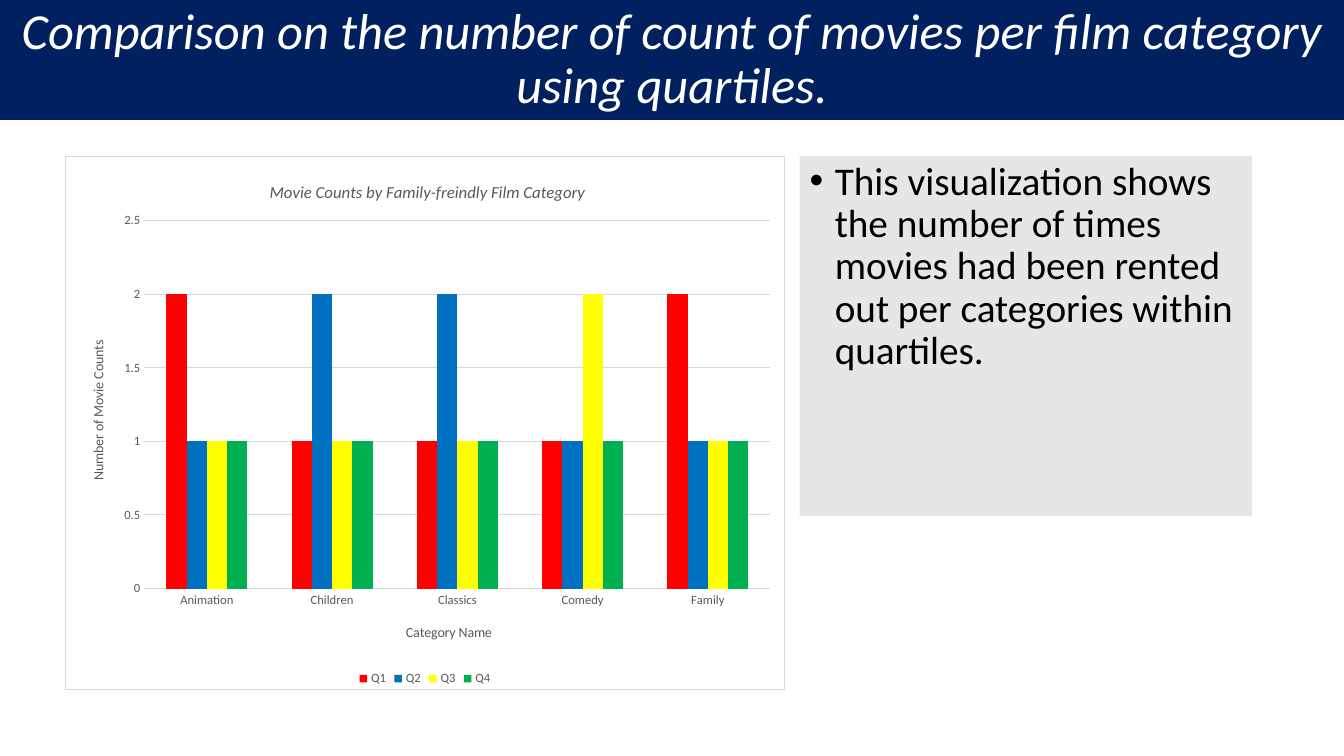
"""Build a slide comparing movie counts per film category by quartile."""
from dataclasses import dataclass

from lxml import etree
from pptx import Presentation
from pptx.chart.data import CategoryChartData
from pptx.dml.color import RGBColor
from pptx.enum.chart import XL_CHART_TYPE, XL_LEGEND_POSITION, XL_TICK_MARK
from pptx.enum.text import MSO_ANCHOR, MSO_AUTO_SIZE, PP_ALIGN
from pptx.oxml import parse_xml
from pptx.oxml.ns import nsdecls, qn
from pptx.util import Inches, Pt

NAVY = RGBColor(0x00, 0x20, 0x60)
WHITE = RGBColor(0xFF, 0xFF, 0xFF)
BLACK = RGBColor(0x00, 0x00, 0x00)
PANEL_GRAY = RGBColor(0xE7, 0xE6, 0xE6)
LINE_GRAY = RGBColor(0xD9, 0xD9, 0xD9)
TEXT_GRAY = RGBColor(0x59, 0x59, 0x59)
RED = RGBColor(0xFF, 0x00, 0x00)
BLUE = RGBColor(0x00, 0x70, 0xC0)
YELLOW = RGBColor(0xFF, 0xFF, 0x00)
GREEN = RGBColor(0x00, 0xB0, 0x50)
FONT = "Calibri"


@dataclass(frozen=True)
class Quartile:
    name: str
    counts: tuple[int, ...]
    color: RGBColor


CATEGORIES = ("Animation", "Children", "Classics", "Comedy", "Family")
QUARTILES = (
    Quartile("Q1", (2, 1, 1, 1, 2), RED),
    Quartile("Q2", (1, 2, 2, 1, 1), BLUE),
    Quartile("Q3", (1, 1, 1, 2, 1), YELLOW),
    Quartile("Q4", (1, 1, 1, 1, 1), GREEN),
)


def style_font(font, size: float, color: RGBColor, italic: bool = False) -> None:
    font.name = FONT
    font.size = Pt(size)
    font.bold = False
    font.italic = italic
    font.color.rgb = color


def style_line(line, color: RGBColor) -> None:
    line.color.rgb = color
    line.width = Pt(0.75)


def fill_placeholder(shape, box: tuple[float, ...], fill: RGBColor, text: str):
    shape.left, shape.top, shape.width, shape.height = map(Inches, box)
    shape.fill.solid()
    shape.fill.fore_color.rgb = fill
    frame = shape.text_frame
    frame.text = text
    frame.word_wrap = True
    frame.auto_size = MSO_AUTO_SIZE.NONE
    paragraph = frame.paragraphs[0]
    paragraph.line_spacing = 0.9
    return paragraph


def place(element, fractions: dict[str, float], inner: bool = False) -> None:
    for old in element.findall(qn("c:layout")):
        element.remove(old)
    layout = etree.Element(qn("c:layout"))
    manual = etree.SubElement(layout, qn("c:manualLayout"))
    settings = {"layoutTarget": "inner"} if inner else {}
    settings |= {"xMode": "edge", "yMode": "edge"} | fractions
    for tag, value in settings.items():
        etree.SubElement(manual, qn(f"c:{tag}")).set("val", str(value))
    text = element.find(qn("c:tx"))
    element.insert(0 if text is None else element.index(text) + 1, layout)


def add_chart_title(title, text: str, size: float, x: float, y: float,
                    italic: bool = False) -> None:
    title.text_frame.text = text
    style_font(title.text_frame.paragraphs[0].runs[0].font, size, TEXT_GRAY, italic)
    place(title._element, {"x": x, "y": y})


def style_axis(axis, title: str, x: float, y: float) -> None:
    axis.major_tick_mark = axis.minor_tick_mark = XL_TICK_MARK.NONE
    style_font(axis.tick_labels.font, 9, TEXT_GRAY)
    add_chart_title(axis.axis_title, title, 10, x, y)


def add_movie_chart(slide) -> None:
    data = CategoryChartData()
    data.categories = CATEGORIES
    for quartile in QUARTILES:
        data.add_series(quartile.name, quartile.counts)
    box = map(Inches, (0.64, 1.55, 7.15, 5.3))
    chart = slide.shapes.add_chart(XL_CHART_TYPE.COLUMN_CLUSTERED, *box, data).chart
    style_font(chart.font, 10, BLACK)
    chart.has_title = True
    add_chart_title(chart.chart_title, "Movie Counts by Family-freindly Film Category",
                    12, 0.28, 0.04, italic=True)

    plot = chart.plots[0]
    plot.gap_width = 219
    plot.overlap = 0
    plot.vary_by_categories = False
    for series, quartile in zip(plot.series, QUARTILES):
        series.format.fill.solid()
        series.format.fill.fore_color.rgb = quartile.color

    style_axis(chart.category_axis, "Category Name", 0.47, 0.87)
    style_line(chart.category_axis.format.line, LINE_GRAY)
    counts = chart.value_axis
    style_axis(counts, "Number of Movie Counts", 0.03, 0.34)
    counts.minimum_scale, counts.maximum_scale, counts.major_unit = 0, 2.5, 0.5
    counts.format.line.fill.background()
    style_line(counts.major_gridlines.format.line, LINE_GRAY)

    chart.has_legend = True
    chart.legend.position = XL_LEGEND_POSITION.BOTTOM
    chart.legend.include_in_layout = False
    style_font(chart.legend.font, 9, TEXT_GRAY)

    chart_body = chart.element.find(qn("c:chart"))
    place(chart_body.find(qn("c:plotArea")),
          {"x": 0.11, "y": 0.12, "w": 0.87, "h": 0.69}, inner=True)
    chart_body.addnext(parse_xml(
        f'<c:spPr {nsdecls("c", "a")}>'
        f'<a:solidFill><a:srgbClr val="{WHITE}"/></a:solidFill>'
        f'<a:ln w="{Pt(0.75)}"><a:solidFill><a:srgbClr val="{LINE_GRAY}"/>'
        '</a:solidFill></a:ln></c:spPr>'))


def main() -> None:
    deck = Presentation()
    deck.slide_width, deck.slide_height = Inches(13.33), Inches(7.5)
    slide = deck.slides.add_slide(deck.slide_layouts[1])

    heading = fill_placeholder(
        slide.shapes.title, (0, 0, 13.33, 1.19), NAVY,
        "Comparison on the number of count of movies per film category using quartiles.")
    heading.alignment = PP_ALIGN.CENTER
    style_font(heading.runs[0].font, 36, WHITE, italic=True)
    slide.shapes.title.text_frame.vertical_anchor = MSO_ANCHOR.MIDDLE

    body = slide.placeholders[1]
    remark = fill_placeholder(
        body, (7.93, 1.55, 4.49, 3.57), PANEL_GRAY,
        "This visualization shows the number of times movies had been rented out "
        "per categories within quartiles.")
    body.text_frame.vertical_anchor = MSO_ANCHOR.TOP
    remark.space_before = Pt(10)
    style_font(remark.runs[0].font, 28, BLACK)
    properties = remark._p.get_or_add_pPr()
    properties.set("marL", str(Inches(0.25)))
    properties.set("indent", str(Inches(-0.25)))
    etree.SubElement(properties, qn("a:buFont")).set("typeface", "Arial")
    etree.SubElement(properties, qn("a:buChar")).set("char", "•")

    add_movie_chart(slide)
    deck.save("out.pptx")


main()
